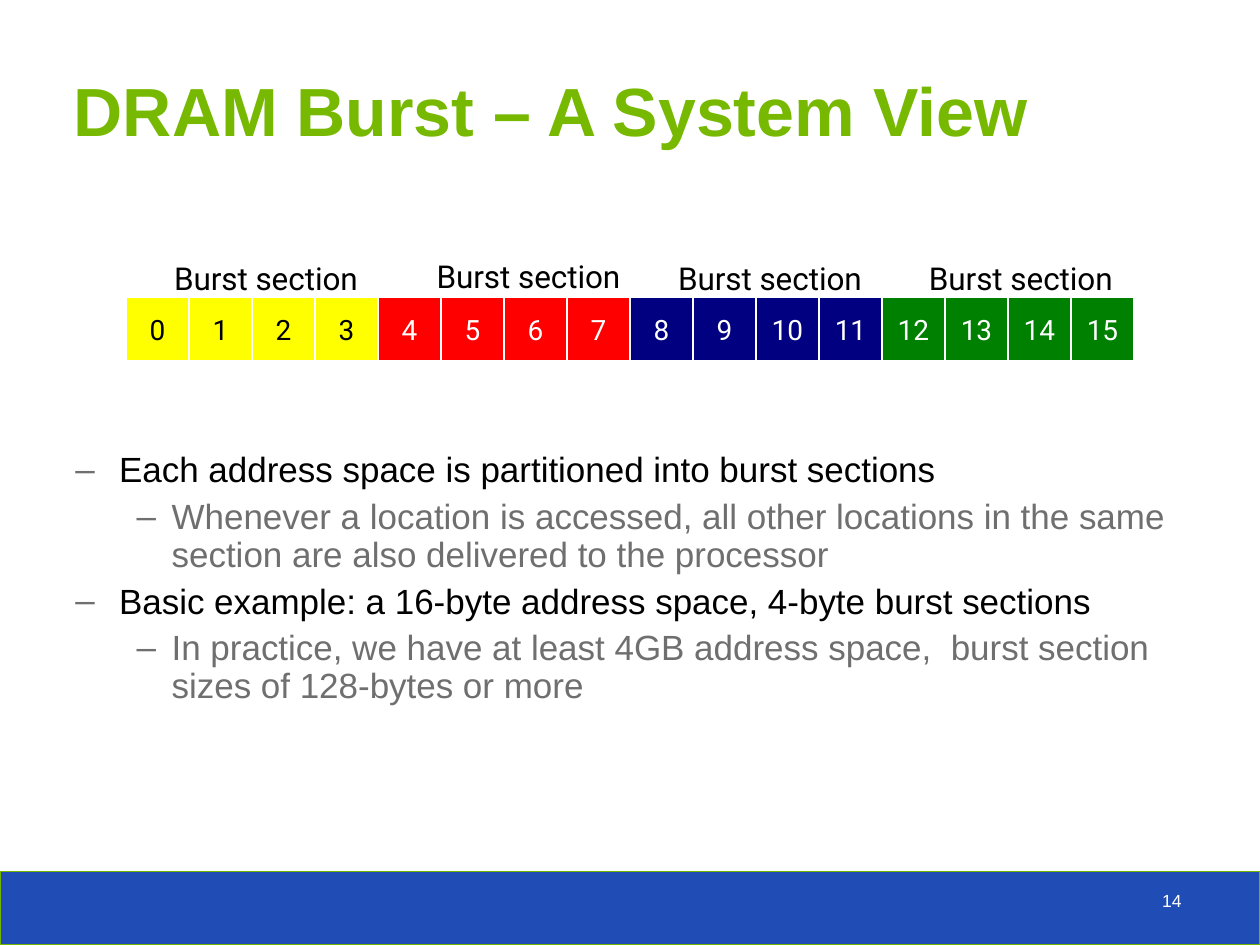
from dataclasses import dataclass

import lxml.etree
import pptx
import pptx.dml.color
import pptx.enum.shapes
import pptx.enum.text
import pptx.oxml.ns
import pptx.util
from pptx.util import Pt

ALIGN = pptx.enum.text.PP_ALIGN
ANCHOR = pptx.enum.text.MSO_ANCHOR


@dataclass(frozen=True)
class Theme:
    title: str = "76B900"
    bar: str = "204DB5"
    bar_line: str = "72B400"
    black: str = "000000"
    gray: str = "6F6F6F"
    white: str = "FFFFFF"
    font: str = "Arial"
    diagram_font: str = "Roboto"
    title_size: float = 29.2
    body_size: float = 15
    label_size: float = 13.5
    cell_size: float = 12
    number_size: float = 7.5


THEME = Theme()


@dataclass(frozen=True)
class Section:
    fill: str
    text_color: str
    label_left: float
    label_top: float = 107.25


@dataclass(frozen=True)
class Bullet:
    text: str
    color: str
    level: int
    margin: float
    hanging: float


SECTIONS = [
    Section("FFFF00", THEME.black, 67.5),
    Section("FF0000", THEME.white, 180, 106.5),
    Section("000080", THEME.white, 283.5),
    Section("008000", THEME.white, 391),
]
CELLS_PER_SECTION = 4
CELL = 27
CELLS_LEFT, CELLS_TOP = 54, 127.5


def main_point(text: str) -> Bullet:
    return Bullet(text, THEME.black, 0, 18.75, 18.75)


def sub_point(text: str) -> Bullet:
    return Bullet(text, THEME.gray, 1, 41.25, 15)


BULLETS = [
    main_point("Each address space is partitioned into burst sections"),
    sub_point("Whenever a location is accessed, all other locations in the same "
              "section are also delivered to the processor"),
    main_point("Basic example: a 16-byte address space, 4-byte burst sections"),
    sub_point("In practice, we have at least 4GB address space,  burst section "
              "sizes of 128-bytes or more"),
]


def rgb(color: str) -> pptx.dml.color.RGBColor:
    return pptx.dml.color.RGBColor.from_string(color)


def write(para, text: str, *, size: float, color: str, font: str = THEME.font,
          bold: bool = False, align=ALIGN.LEFT) -> None:
    para.alignment = align
    span = para.add_run()
    span.text = text
    span.font.size = Pt(size)
    span.font.name = font
    span.font.bold = bold
    span.font.color.rgb = rgb(color)


def add_box(page, left: float, top: float, width: float, height: float):
    """Add a wrapping text box and return its text frame."""
    box = page.shapes.add_textbox(Pt(left), Pt(top), Pt(width), Pt(height))
    box.text_frame.word_wrap = True
    return box.text_frame


def add_rectangle(page, left: float, top: float, width: float, height: float,
                  fill: str, line: str):
    box = page.shapes.add_shape(pptx.enum.shapes.MSO_SHAPE.RECTANGLE,
                                Pt(left), Pt(top), Pt(width), Pt(height))
    box.shadow.inherit = False
    box.fill.solid()
    box.fill.fore_color.rgb = rgb(fill)
    box.line.color.rgb = rgb(line)
    box.line.width = Pt(0.75)
    return box


def add_title(page, text: str) -> None:
    box = page.shapes.title
    box.left, box.top, box.width, box.height = Pt(24.5), Pt(25.5), Pt(491), Pt(41)
    frame = box.text_frame
    frame.auto_size = pptx.enum.text.MSO_AUTO_SIZE.NONE
    frame.vertical_anchor = ANCHOR.TOP
    write(frame.paragraphs[0], text, size=THEME.title_size, color=THEME.title, bold=True)


def add_section(page, index: int, section: Section) -> None:
    first = index * CELLS_PER_SECTION
    for address in range(first, first + CELLS_PER_SECTION):
        cell = add_rectangle(page, CELLS_LEFT + address * CELL, CELLS_TOP, CELL, CELL,
                             section.fill, THEME.white)
        frame = cell.text_frame
        frame.word_wrap = False
        frame.vertical_anchor = ANCHOR.MIDDLE
        write(frame.paragraphs[0], str(address), size=THEME.cell_size,
              color=section.text_color, font=THEME.diagram_font, align=ALIGN.CENTER)
    label = add_box(page, section.label_left, section.label_top, 98, 24)
    write(label.paragraphs[0], "Burst section", size=THEME.label_size,
          color=THEME.black, font=THEME.diagram_font)


def add_bullet(para, bullet: Bullet) -> None:
    para.level = bullet.level
    para.line_spacing = 0.9
    para.space_before = para.space_after = Pt(1.9)
    write(para, bullet.text, size=THEME.body_size, color=bullet.color)
    # Dash bullet with a hanging indent
    qn = pptx.oxml.ns.qn
    props = para._p.get_or_add_pPr()
    props.set("marL", str(Pt(bullet.margin)))
    props.set("indent", str(-Pt(bullet.hanging)))
    color = lxml.etree.SubElement(props, qn("a:buClr"))
    lxml.etree.SubElement(color, qn("a:srgbClr"), val=THEME.gray)
    lxml.etree.SubElement(props, qn("a:buFont"), typeface=THEME.font)
    lxml.etree.SubElement(props, qn("a:buChar"), char="–")


def main() -> None:
    deck = pptx.Presentation()
    deck.slide_width, deck.slide_height = Pt(540), Pt(405)
    page = deck.slides.add_slide(deck.slide_layouts.get_by_name("Title Only"))

    # Title and footer bar
    add_rectangle(page, 0, 373.5, 540, 31.5, THEME.bar, THEME.bar_line)
    add_title(page, "DRAM Burst – A System View")
    number = add_box(page, 387.5, 378, 126, 18)
    write(number.paragraphs[0], "14", size=THEME.number_size, color=THEME.white,
          align=ALIGN.RIGHT)

    # Address space split into burst sections
    for index, section in enumerate(SECTIONS):
        add_section(page, index, section)

    # Explanation
    body = add_box(page, 25.25, 190.5, 489.5, 180)
    for index, bullet in enumerate(BULLETS):
        add_bullet(body.add_paragraph() if index else body.paragraphs[0], bullet)

    deck.save("out.pptx")


if __name__ == "__main__":
    main()
